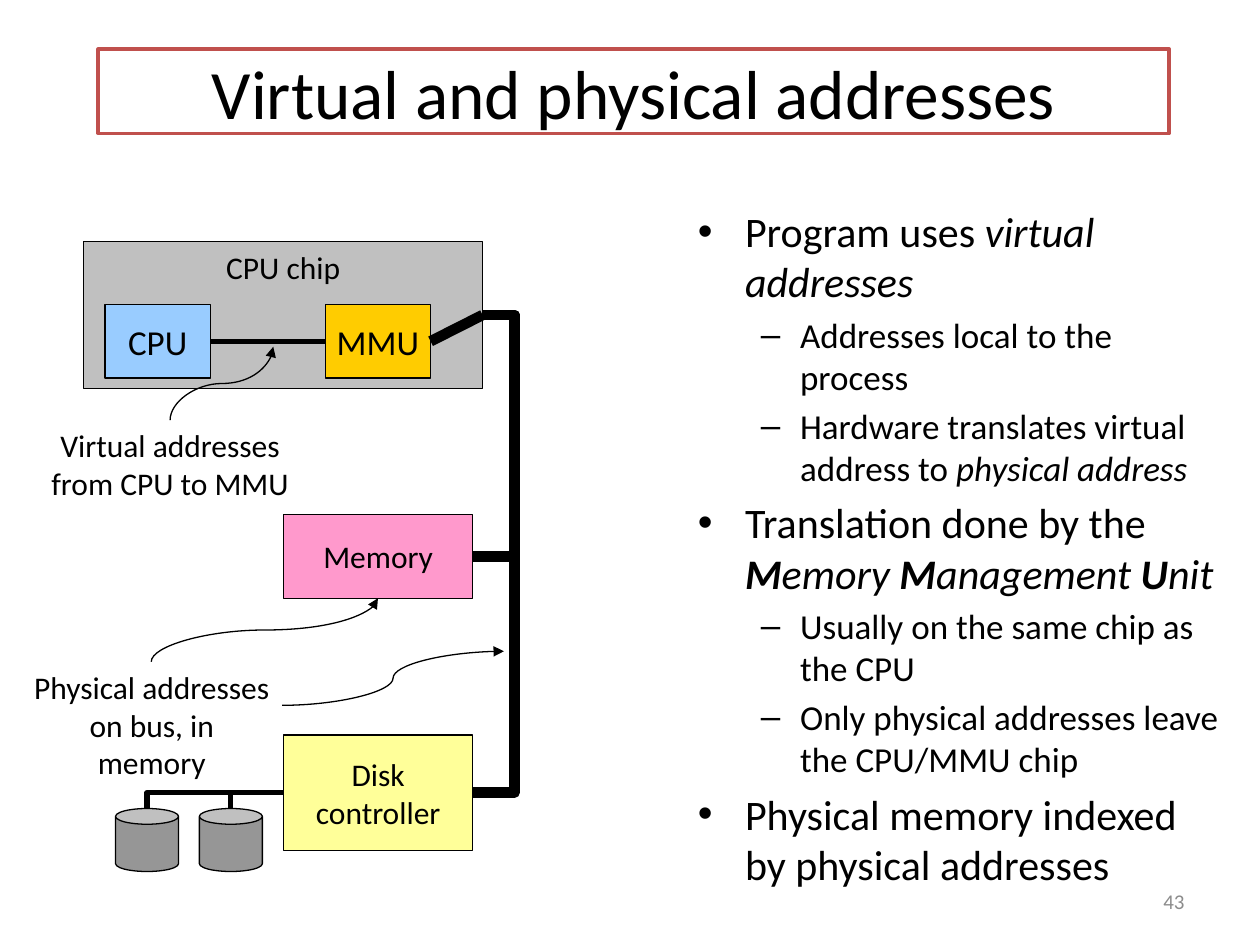
from lxml.etree import SubElement
from pptx import Presentation
from pptx.dml.color import RGBColor
from pptx.enum.shapes import MSO_CONNECTOR, MSO_SHAPE
from pptx.enum.text import MSO_ANCHOR, MSO_AUTO_SIZE, PP_ALIGN
from pptx.oxml.ns import qn
from pptx.util import Cm, Pt

STRAIGHT, ELBOW, CURVE = MSO_CONNECTOR.STRAIGHT, MSO_CONNECTOR.ELBOW, MSO_CONNECTOR.CURVE
TOP, MIDDLE = MSO_ANCHOR.TOP, MSO_ANCHOR.MIDDLE
LEFT_SIDE, RIGHT_SIDE = 1, 3

# Each point: level, then its runs as (text, style); b is bold, i is italic
POINTS = [
    (0, [("Program uses ", ""), ("virtual addresses", "i")]),
    (1, [("Addresses local to the process", "")]),
    (1, [("Hardware translates virtual address to ", ""), ("physical address", "i")]),
    (0, [("Translation done by the ", ""), ("M", "bi"), ("emory ", "i"), ("M", "bi"),
         ("anagement ", "i"), ("U", "bi"), ("nit", "i")]),
    (1, [("Usually on the same chip as the CPU", "")]),
    (1, [("Only physical addresses leave the CPU/MMU chip", "")]),
    (0, [("Physical memory indexed by physical addresses", "")]),
]
# Per level: text size, bullet, left margin and hanging indent in cm
LEVELS = [(24, "•", 0.95, 0.95), (20, "–", 2.06, 0.79)]


def paint(hue):
    return RGBColor.from_string(hue)


def write(para, text, size=18, hue="000000", style="", align=None):
    """Add text to a paragraph; a newline becomes a line break."""
    if align is not None:
        para.alignment = align
    for i, part in enumerate(text.split("\n")):
        if i:
            para.add_line_break()
        run = para.add_run()
        run.text = part
        font = run.font
        font.name, font.size = "Calibri", Pt(size)
        font.bold, font.italic = "b" in style, "i" in style
        font.color.rgb = paint(hue)


def label(slide, box, text, anchor=TOP, align=PP_ALIGN.CENTER, **form):
    frame = slide.shapes.add_textbox(*map(Cm, box)).text_frame
    frame.word_wrap = True
    frame.vertical_anchor = anchor
    write(frame.paragraphs[0], text, align=align, **form)


def block(slide, box, fill, text="", kind=MSO_SHAPE.RECTANGLE, anchor=MIDDLE, **form):
    shape = slide.shapes.add_shape(kind, *map(Cm, box))
    shape.shadow.inherit = False
    shape.fill.solid()
    shape.fill.fore_color.rgb = paint(fill)
    shape.line.color.rgb = paint("000000")
    shape.line.width = Pt(0.75)
    if text:
        frame = shape.text_frame
        frame.word_wrap = False
        frame.vertical_anchor = anchor
        write(frame.paragraphs[0], text, align=PP_ALIGN.CENTER, **form)
    return shape


def link(slide, kind, start, end, width, arrow=False):
    line = slide.shapes.add_connector(kind, *map(Cm, (*start, *end)))
    line.line.color.rgb = paint("000000")
    line.line.width = Pt(width)
    props = line.element.spPr
    if arrow:
        SubElement(props.find(qn("a:ln")), qn("a:tailEnd"), type="triangle")
    SubElement(props, qn("a:effectLst"))
    return line


def join(slide, first, side, last, stop, width):
    """Link two shapes, side to side, with a straight line."""
    line = link(slide, STRAIGHT, (0, 0), (1, 1), width)
    line.begin_connect(first, side)
    line.end_connect(last, stop)


def rise(slide, start, end):
    """Draw a curved arrow that leaves upwards and arrives upwards."""
    (x1, y1), (x2, y2) = start, end
    midx, midy = (x1 + x2) / 2, (y1 + y2) / 2
    halfw, halfh = (y1 - y2) / 2, (x2 - x1) / 2
    line = link(slide, CURVE, (midx - halfw, midy - halfh),
                (midx + halfw, midy + halfh), 0.75, arrow=True)
    line.element.spPr.find(qn("a:xfrm")).set("rot", "16200000")


def branch(slide, start, end, turn):
    """Draw a thick bus line that bends at x = turn, right of both ends."""
    line = link(slide, ELBOW, start, end, 6)
    ratio = (start[0] - turn) / (start[0] - end[0])
    values = line.element.spPr.find(qn("a:prstGeom")).find(qn("a:avLst"))
    SubElement(values, qn("a:gd"), name="adj1", fmla=f"val {round(ratio * 100000)}")


def heading(slide, box, text):
    title = slide.shapes.title
    title.left, title.top, title.width, title.height = map(Cm, box)
    title.fill.solid()
    title.fill.fore_color.rgb = paint("FFFFFF")
    title.line.color.rgb = paint("C0504D")
    title.line.width = Pt(2)
    frame = title.text_frame
    frame.auto_size = MSO_AUTO_SIZE.NONE
    frame.vertical_anchor = MIDDLE
    write(frame.paragraphs[0], text, size=39.6, align=PP_ALIGN.CENTER)


def outline(slide, box, points):
    """Write the bulleted points at their levels."""
    frame = slide.shapes.add_textbox(*map(Cm, box)).text_frame
    frame.word_wrap = True
    for i, (level, runs) in enumerate(points):
        para = frame.add_paragraph() if i else frame.paragraphs[0]
        size, mark, margin, hang = LEVELS[level]
        para.level = level
        if i:
            para.space_before = Pt(size * 0.2)
        props = para._p.get_or_add_pPr()
        props.set("marL", str(Cm(margin)))
        props.set("indent", str(-Cm(hang)))
        SubElement(props, qn("a:buFont"), typeface="Arial")
        SubElement(props, qn("a:buChar"), char=mark)
        for text, style in runs:
            write(para, text, size=size, style=style)


def diagram(slide, left, top):
    """Draw the chip, bus, memory and disks from the given corner."""
    def at(x, y):
        return left + x, top + y

    chip = block(slide, (*at(1.27, 0), 8.04, 2.96), "C0C0C0", "CPU chip", anchor=TOP)
    cpu = block(slide, (*at(1.7, 1.27), 2.12, 1.48), "99CCFF", "CPU", size=20)
    mmu = block(slide, (*at(6.14, 1.27), 2.12, 1.48), "FFCC00", "MMU", size=20)
    block(slide, (*at(5.3, 5.5), 3.81, 1.69), "FF99CC", "Memory")
    block(slide, (*at(5.3, 9.95), 3.81, 2.33), "FFFF99", "Disk\ncontroller")

    join(slide, cpu, RIGHT_SIDE, mmu, LEFT_SIDE, 3)
    join(slide, mmu, RIGHT_SIDE, chip, RIGHT_SIDE, 6)
    for y in (6.35, 11.11):
        branch(slide, at(9.31, 1.48), at(9.11, y), left + 9.95)

    for x in (1.91, 3.6):
        wire = link(slide, ELBOW, at(5.3, 11.11), at(x + 0.635, 11.43), 3)
        wire.element.spPr.find(qn("a:prstGeom")).set("prst", "bentConnector2")
        block(slide, (*at(x, 11.43), 1.27, 1.27), "969696", kind=MSO_SHAPE.CAN)

    label(slide, (*at(0.24, 3.6), 5.54, 1.78), "Virtual addresses\nfrom CPU to MMU")
    label(slide, (*at(0, 8.47), 5.28, 1.78), "Physical addresses\non bus, in memory")
    rise(slide, at(3.01, 3.6), at(5.09, 2.12))
    rise(slide, at(2.63, 8.47), at(7.2, 7.19))
    link(slide, CURVE, at(5.27, 9.35), at(9.74, 8.26), 0.75, arrow=True)


def main():
    deck = Presentation()
    deck.slide_width, deck.slide_height = Cm(25.4), Cm(19.05)
    slide = deck.slides.add_slide(deck.slide_layouts[5])
    heading(slide, (1.98, 0.99, 21.59, 1.7), "Virtual and physical addresses")
    outline(slide, (13.82, 4.02, 11.07, 13.76), POINTS)
    diagram(slide, 0.42, 4.87)
    label(slide, (18.2, 17.66, 5.93, 1.01), "43", anchor=MIDDLE,
          align=PP_ALIGN.RIGHT, size=12, hue="8C8C8C")
    deck.save("out.pptx")


if __name__ == "__main__":
    main()
